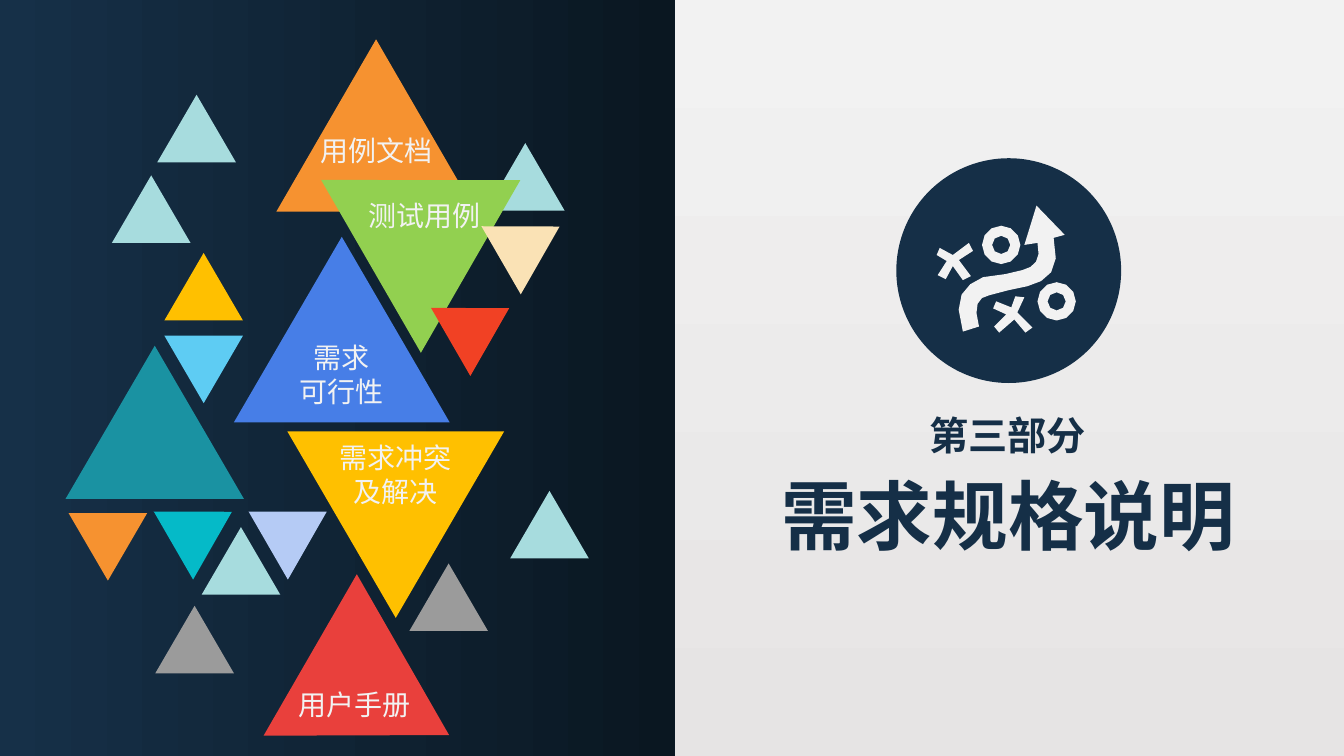
"""Builds the section slide 需求规格说明 with its triangle mosaic and strategy badge."""
import math

import pptx
import pptx.dml.color
import pptx.enum.shapes
import pptx.enum.text
import pptx.oxml.ns
import pptx.util
from lxml import etree

Inches = pptx.util.Inches
FONT = "Noto Sans CJK SC"
COLORS = {
    "navy": "152F47", "panel_left": "163048", "panel_right": "0A1721",
    "light": "F2F2F2", "mist": "E6E4E4", "aqua": "A7DCDE", "lavender": "B5CBF5",
    "blue": "477EE7", "teal": "1A92A2", "gray": "9B9B9B", "orange": "F69230",
    "green": "92D050", "cream": "FAE2B5", "cyan": "05BAC8", "gold": "FFC000",
    "sky": "5ECCF3", "red": "F14124", "crimson": "E9403C",
}
SMALL = (0.78, 0.67)
LARGE = (1.98, 1.71)
TRIANGLES = [
    (1.11, 1.74, SMALL, 0, "aqua"),
    (4.82, 1.42, SMALL, 0, "aqua"),
    (2.56, 4.91, SMALL, 60, "lavender"),
    (2.32, 2.35, (2.14, 1.84), 0, "blue"),
    (0.65, 3.43, (1.77, 1.52), 0, "teal"),
    (2.00, 5.23, SMALL, 0, "aqua"),
    (1.54, 6.01, SMALL, 0, "gray"),
    (2.74, 0.39, LARGE, 0, "orange"),
    (1.56, 0.94, SMALL, 0, "aqua"),
    (3.43, 1.36, LARGE, 60, "green"),
    (4.87, 2.08, SMALL, 60, "cream"),
    (1.62, 4.91, SMALL, 60, "cyan"),
    (0.68, 5.09, SMALL, 180, "orange"),
    (1.63, 2.51, SMALL, 0, "gold"),
    (1.63, 3.33, SMALL, 180, "sky"),
    (4.37, 2.89, SMALL, 60, "red"),
    (2.84, 6.10, (1.85, 1.59), 120, "crimson"),
    (5.06, 4.87, SMALL, 0, "aqua"),
    (2.85, 4.28, (2.15, 1.85), 180, "gold"),
    (4.06, 5.59, SMALL, 0, "gray"),
]
TEXTS = [
    (7.65, 4.60, 4.70, 1.01, ["需求规格说明"], 54, "navy", True, False),
    (9.11, 4.03, 1.77, 0.57, ["第三部分"], 28, "navy", True, False),
    (2.72, 3.33, 1.34, 0.77, ["需求", "可行性"], 20, "light", False, True),
    (3.08, 1.28, 1.31, 0.44, ["用例文档"], 20, "light", False, False),
    (3.51, 1.92, 1.41, 0.44, ["测试用例"], 20, "light", False, True),
    (3.22, 4.32, 1.41, 0.77, ["需求冲突及解决"], 20, "light", False, True),
    (2.86, 6.77, 1.31, 0.44, ["用户手册"], 20, "light", False, False),
]
ARROW = [
    (9.55, 3.29), (9.44, 2.95, 9.56, 2.83, 9.75, 2.75), (9.97, 2.72), (10.14, 2.68),
    (10.26, 2.65, 10.33, 2.58, 10.29, 2.41), (10.16, 2.43), (10.28, 2.04),
    (10.56, 2.33), (10.45, 2.36), (10.53, 2.68, 10.39, 2.79, 10.19, 2.84),
    (10.00, 2.88), (9.81, 2.93), (9.70, 2.95, 9.65, 3.03, 9.71, 3.24),
]
CROSSES = [
    [(9.32, 2.46), (9.29, 2.53), (9.39, 2.59), (9.30, 2.73), (9.38, 2.77), (9.45, 2.64),
     (9.55, 2.78), (9.63, 2.74), (9.51, 2.58), (9.65, 2.49), (9.61, 2.41), (9.45, 2.53)],
    [(10.16, 2.95), (10.07, 2.94), (10.03, 3.05), (9.88, 2.99), (9.85, 3.06), (9.98, 3.12),
     (9.86, 3.24), (9.91, 3.30), (10.06, 3.17), (10.17, 3.30), (10.24, 3.25), (10.09, 3.10)],
]
RING_CENTERS = [(10.48, 2.99), (9.93, 2.43)]
RING_EDGES = [(0.19, 12), (0.09, -8)]


def rgb(name):
    return pptx.dml.color.RGBColor.from_string(COLORS[name])


def fill_gradient(fill, names, angle):
    fill.gradient()
    fill.gradient_angle = angle
    for stop, name in zip(fill.gradient_stops, names):
        stop.color.rgb = rgb(name)


def paint(shape, name):
    shape.shadow.inherit = False
    shape.line.fill.background()
    shape.fill.solid()
    shape.fill.fore_color.rgb = rgb(name)


def add_preset(shapes, preset, left, top, width, height, name):
    shape = shapes.add_shape(preset, Inches(left), Inches(top), Inches(width), Inches(height))
    paint(shape, name)
    return shape


def flatten(outline, steps=4):
    points = [outline[0]]
    for segment in outline[1:]:
        if len(segment) == 2:
            points.append(segment)
            continue
        knots = [points[-1], segment[:2], segment[2:4], segment[4:]]
        for step in range(1, steps + 1):
            t = step / steps
            weights = [math.comb(3, k) * t ** k * (1 - t) ** (3 - k) for k in range(4)]
            points.append(tuple(sum(w * knot[axis] for w, knot in zip(weights, knots))
                                for axis in (0, 1)))
    return points


def circle(center, radius, sides):
    turns = [math.tau * step / sides for step in range(abs(sides))]
    return [(center[0] + radius * math.cos(a), center[1] + radius * math.sin(a)) for a in turns]


def add_badge(page):
    badge = page.shapes.add_group_shape()
    add_preset(badge.shapes, pptx.enum.shapes.MSO_SHAPE.OVAL, 8.89, 1.57, 2.23, 2.23, "navy")
    contours = [flatten(ARROW)] + CROSSES
    contours += [circle(center, *edge) for center in RING_CENTERS for edge in RING_EDGES]
    contours = [[(Inches(x), Inches(y)) for x, y in contour] for contour in contours]
    builder = badge.shapes.build_freeform(*contours[0][0])
    builder.add_line_segments(contours[0][1:])
    for contour in contours[1:]:
        builder.move_to(*contour[0])
        builder.add_line_segments(contour[1:])
    paint(builder.convert_to_shape(), "light")


def add_text(page, left, top, width, height, lines, size, name, bold, wrap):
    box = page.shapes.add_textbox(Inches(left), Inches(top), Inches(width), Inches(height))
    frame = box.text_frame
    frame.word_wrap = wrap
    frame.auto_size = pptx.enum.text.MSO_AUTO_SIZE.SHAPE_TO_FIT_TEXT
    frame.text = "\n".join(lines)
    for para in frame.paragraphs:
        para.alignment = pptx.enum.text.PP_ALIGN.CENTER
        para.font.size = pptx.util.Pt(size)
        para.font.bold = bold
        para.font.color.rgb = rgb(name)
        para.font.name = FONT
        defaults = para._p.pPr.find(pptx.oxml.ns.qn("a:defRPr"))
        etree.SubElement(defaults, pptx.oxml.ns.qn("a:ea"), typeface=FONT)


def main():
    deck = pptx.Presentation()
    deck.slide_width, deck.slide_height = Inches(13.33), Inches(7.5)
    page = deck.slides.add_slide(deck.slide_layouts[6])
    fill_gradient(page.background.fill, ("light", "mist"), 270)
    presets = pptx.enum.shapes.MSO_SHAPE
    panel = add_preset(page.shapes, presets.RECTANGLE, 0, 0, 6.69, 7.5, "navy")
    fill_gradient(panel.fill, ("panel_left", "panel_right"), 0)
    add_badge(page)
    for left, top, size, turn, name in TRIANGLES:
        triangle = add_preset(page.shapes, presets.ISOSCELES_TRIANGLE, left, top, *size, name)
        triangle.rotation = turn
    for text in TEXTS:
        add_text(page, *text)
    deck.save("out.pptx")


if __name__ == "__main__":
    main()
